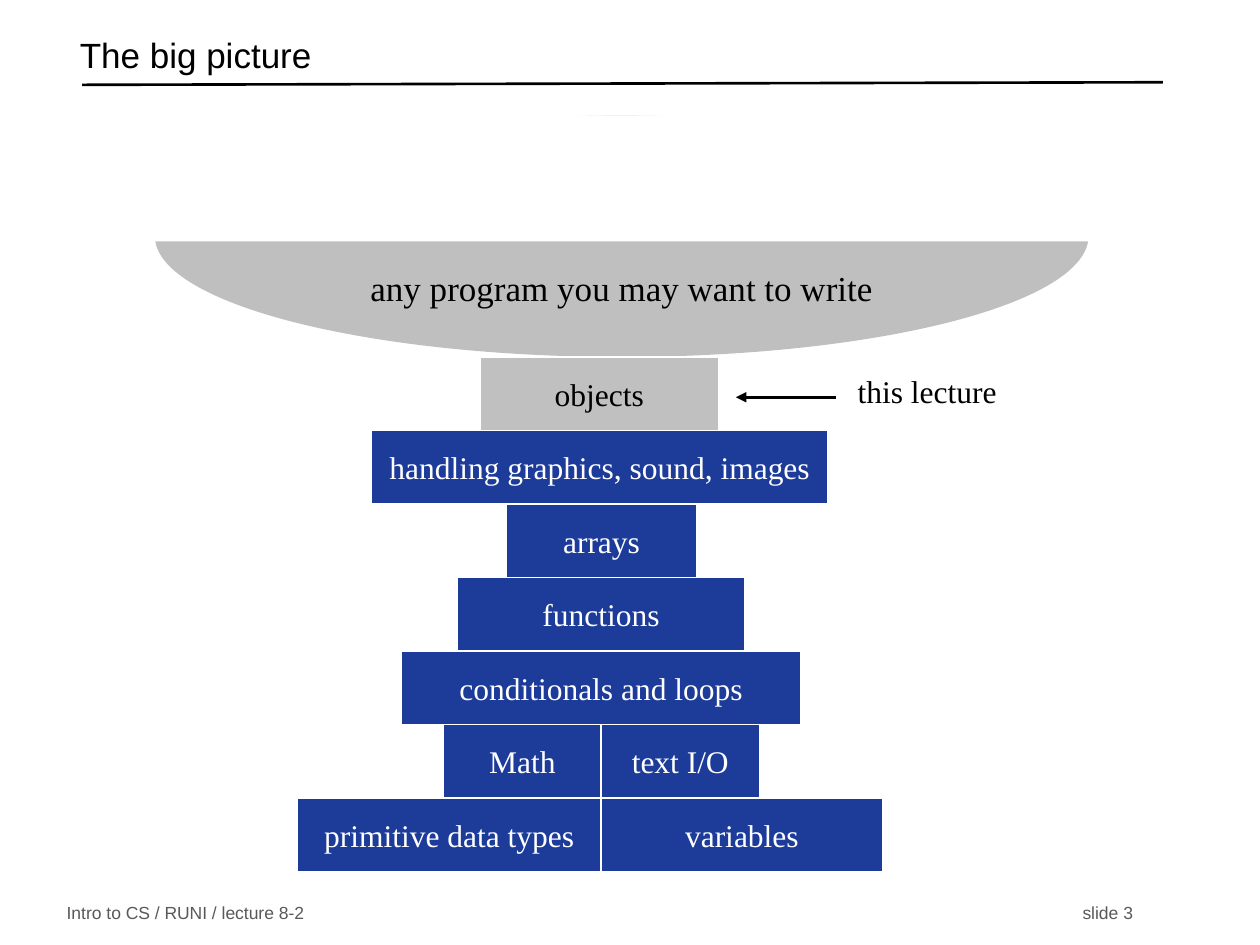
from lxml import etree
from pptx import Presentation
from pptx.dml.color import RGBColor
from pptx.enum import shapes, text
from pptx.oxml import ns
from pptx.util import Pt

BLACK = RGBColor(0x00, 0x00, 0x00)
WHITE = RGBColor(0xFF, 0xFF, 0xFF)
BLUE = RGBColor(0x1D, 0x3C, 0x99)
SILVER = RGBColor(0xC0, 0xC0, 0xC0)
GRAY = RGBColor(0x80, 0x80, 0x80)
FOOTER_GRAY = RGBColor(0x59, 0x59, 0x59)
SERIF = "Times New Roman"

presentation = Presentation()
presentation.slide_width = Pt(720)
presentation.slide_height = Pt(540)
slide = presentation.slides.add_slide(presentation.slide_layouts[6])


def write(shape, words, size, color, font_name=SERIF, wrap=True,
          align=text.PP_ALIGN.LEFT, anchor=text.MSO_ANCHOR.MIDDLE):
    frame = shape.text_frame
    frame.text = words
    frame.word_wrap = wrap
    frame.vertical_anchor = anchor
    paragraph = frame.paragraphs[0]
    paragraph.alignment = align
    font = paragraph.runs[0].font
    font.name = font_name
    font.size = Pt(size)
    font.color.rgb = color
    return paragraph


def add_line(x1, y1, x2, y2, width):
    line = slide.shapes.add_connector(
        shapes.MSO_CONNECTOR.STRAIGHT, Pt(x1), Pt(y1), Pt(x2), Pt(y2))
    line.line.color.rgb = BLACK
    line.line.width = Pt(width)
    etree.SubElement(line._element.spPr, ns.qn("a:effectLst"))
    return line


add_line(47, 48.5, 664.5, 47, 1.5)

footer = slide.shapes.add_textbox(Pt(31), Pt(514), Pt(627), Pt(15))
footer_paragraph = write(footer, "Intro to CS / RUNI / lecture 8-2\tslide 3",
                         10, FOOTER_GRAY, "Arial")
tabs = etree.SubElement(footer_paragraph._p.get_or_add_pPr(), ns.qn("a:tabLst"))
etree.SubElement(tabs, ns.qn("a:tab"), pos=str(Pt(580.5)), algn="l")

title = slide.shapes.add_textbox(Pt(38.5), Pt(16), Pt(619), Pt(36))
write(title, "The big picture", 20, BLACK, "Arial").line_spacing = 0.7

bowl = slide.shapes.add_shape(
    shapes.MSO_SHAPE.OVAL, Pt(88.5), Pt(66), Pt(533.5), Pt(138))
bowl.shadow.inherit = False
bowl.fill.solid()
bowl.fill.fore_color.rgb = GRAY
bowl_color = bowl.fill._xPr.find(".//" + ns.qn("a:srgbClr"))
etree.SubElement(bowl_color, ns.qn("a:alpha"), val="50000")
bowl.line.fill.background()
write(bowl, "any program you may want to write", 20, BLACK, wrap=False,
      align=text.PP_ALIGN.CENTER)
bowl.text_frame.margin_top = Pt(59)
bowl.text_frame.margin_bottom = 0

bowl_cover = slide.shapes.add_shape(
    shapes.MSO_SHAPE.RECTANGLE, Pt(12), Pt(66), Pt(696), Pt(72))
bowl_cover.shadow.inherit = False
bowl_cover.fill.solid()
bowl_cover.fill.fore_color.rgb = WHITE
bowl_cover.line.fill.background()

tower_top = 204
row_height = 42
tower_rows = [
    [("objects", 274.5, 136)],
    [("handling graphics, sound, images", 212.5, 260.5)],
    [("arrays", 289.5, 108.5)],
    [("functions", 261.5, 164)],
    [("conditionals and loops", 229.5, 228)],
    [("Math", 253.5, 90), ("text I/O", 343.5, 90.5)],
    [("primitive data types", 170, 173.5), ("variables", 343.5, 161)],
]
for row_index, row in enumerate(tower_rows):
    fill_color, text_color = (SILVER, BLACK) if row_index == 0 else (BLUE, WHITE)
    for label, left, width in row:
        block = slide.shapes.add_shape(
            shapes.MSO_SHAPE.RECTANGLE, Pt(left),
            Pt(tower_top + row_index * row_height), Pt(width), Pt(row_height))
        block.shadow.inherit = False
        block.fill.solid()
        block.fill.fore_color.rgb = fill_color
        block.line.color.rgb = WHITE
        block.line.width = Pt(0.75)
        write(block, label, 18, text_color, wrap=False,
              align=text.PP_ALIGN.CENTER)

lecture_label = slide.shapes.add_textbox(Pt(483), Pt(209), Pt(129), Pt(29))
write(lecture_label, "this lecture", 18, BLACK, anchor=text.MSO_ANCHOR.TOP)

arrow = add_line(477.5, 227, 420.5, 227, 1.75)
etree.SubElement(arrow.line._get_or_add_ln(), ns.qn("a:tailEnd"), type="triangle")

presentation.save("out.pptx")
